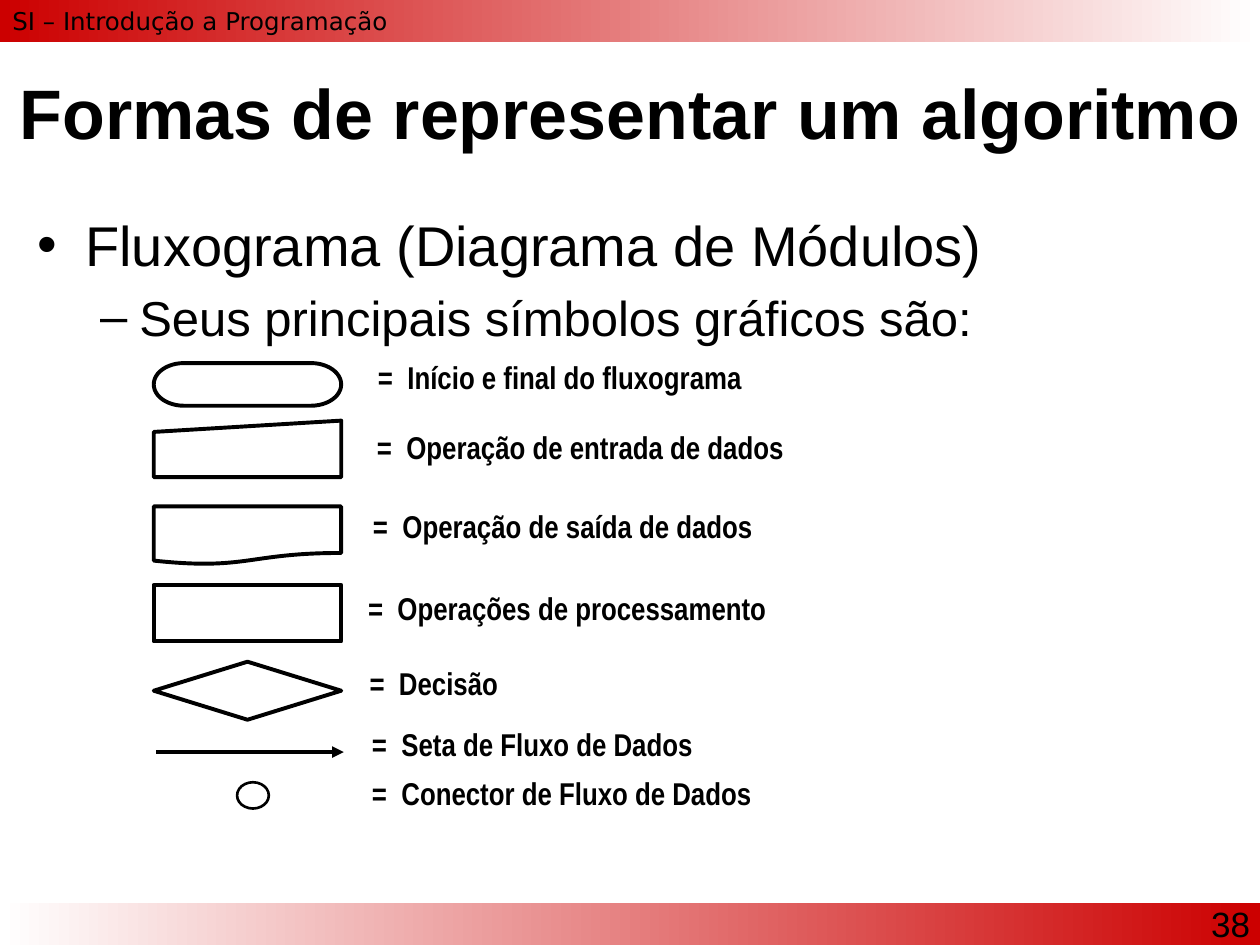
from lxml import etree
from pptx import Presentation
from pptx.dml.color import RGBColor
from pptx.enum.shapes import MSO_CONNECTOR, MSO_SHAPE
from pptx.enum.text import MSO_ANCHOR, PP_ALIGN
from pptx.oxml.ns import qn
from pptx.util import Cm, Pt

BLACK = RGBColor(0x00, 0x00, 0x00)
WHITE = RGBColor(0xFF, 0xFF, 0xFF)
RED = RGBColor(0xCC, 0x00, 0x00)

LEFT, CENTER, RIGHT = PP_ALIGN.LEFT, PP_ALIGN.CENTER, PP_ALIGN.RIGHT
TOP, MIDDLE = MSO_ANCHOR.TOP, MSO_ANCHOR.MIDDLE
RECTANGLE = MSO_SHAPE.RECTANGLE
CIRCLE = MSO_SHAPE.FLOWCHART_CONNECTOR
STRAIGHT = MSO_CONNECTOR.STRAIGHT

SLIDE_W, SLIDE_H = 25.4, 19.05
BAND_H = 0.84
SYMBOL_W = 3.78

# Symbol, its top and height, label, label left and top (cm within the legend)
SYMBOLS = [
    (MSO_SHAPE.FLOWCHART_TERMINATOR, 0.13, 0.86,
     "=  Início e final do fluxograma", 4.49, 0),
    (MSO_SHAPE.FLOWCHART_MANUAL_INPUT, 1.29, 1.14,
     "=  Operação de entrada de dados", 4.47, 1.4),
    (MSO_SHAPE.FLOWCHART_DOCUMENT, 3.02, 1.17,
     "=  Operação de saída de dados", 4.39, 3),
    (MSO_SHAPE.FLOWCHART_PROCESS, 4.6, 1.14,
     "=  Operações de processamento", 4.29, 4.65),
    (MSO_SHAPE.FLOWCHART_DECISION, 6.15, 1.17,
     "=  Decisão", 4.32, 6.17),
]


def format_text(p, size, font="Arial", bold=False):
    for r in p.runs:
        r.font.size = Pt(size)
        r.font.name = font
        r.font.bold = bold
        r.font.color.rgb = BLACK


def add_text(s, box, text, size, font="Arial", bold=False, align=LEFT,
             anchor=TOP, inset=None):
    tf = s.shapes.add_textbox(*map(Cm, box)).text_frame
    tf.word_wrap = True
    tf.vertical_anchor = anchor
    if inset is not None:
        tf.margin_left = tf.margin_right = Cm(inset)
        tf.margin_top = tf.margin_bottom = Cm(inset)
    tf.text = text
    for p in tf.paragraphs:
        p.alignment = align
        format_text(p, size, font, bold)
    return tf


def add_band(s, box, start, end):
    sp = s.shapes.add_shape(RECTANGLE, *map(Cm, box))
    sp.shadow.inherit = False
    sp.line.fill.background()
    sp.fill.gradient()
    sp.fill.gradient_angle = 0
    for stop, position, color in zip(sp.fill.gradient_stops, (0, 1), (start, end)):
        stop.position = position
        stop.color.rgb = color


def add_symbol(s, kind, box, weight=2.25, fill=WHITE):
    sp = s.shapes.add_shape(kind, *map(Cm, box))
    sp.shadow.inherit = False
    if fill is None:
        sp.fill.background()
    else:
        sp.fill.solid()
        sp.fill.fore_color.rgb = fill
    sp.line.color.rgb = BLACK
    sp.line.width = Pt(weight)


def add_arrow(s, x1, y1, x2, y2):
    line = s.shapes.add_connector(STRAIGHT, Cm(x1), Cm(y1), Cm(x2), Cm(y2))
    line.line.color.rgb = BLACK
    line.line.width = Pt(2.25)
    etree.SubElement(line.line._get_or_add_ln(), qn("a:tailEnd"), type="triangle")
    etree.SubElement(line._element.spPr, qn("a:effectLst"))


def set_bullet(p, char, margin, hanging):
    pPr = p._p.get_or_add_pPr()
    pPr.set("marL", str(Cm(margin)))
    pPr.set("indent", str(-Cm(hanging)))
    etree.SubElement(pPr, qn("a:buFont"), typeface="Arial")
    etree.SubElement(pPr, qn("a:buChar"), char=char)


def add_header(s, x, y, w):
    add_band(s, (x, y, w, BAND_H), RED, WHITE)
    add_text(s, (x, y, w, 1.27), "SI – Introdução a Programação", 14, "DejaVu Sans")


def add_footer(s, x, y, w):
    add_band(s, (x, y, w, BAND_H), WHITE, RED)
    add_text(s, (x + w - 3.38, y - 0.15, 3.43, 1.27), "38", 20, align=RIGHT)


def add_outline(s, box):
    tf = add_text(s, box, "Fluxograma (Diagrama de Módulos)\n"
                  "Seus principais símbolos gráficos são:", 32)
    first, second = tf.paragraphs
    format_text(second, 28)
    second.level = 1
    first.space_before, second.space_before = Pt(6.4), Pt(5.6)
    set_bullet(first, "•", 0.97, 0.97)
    set_bullet(second, "–", 2.06, 0.79)


def add_legend(s, x, y):
    def add_label(text, left, top):
        add_text(s, (x + left, y + top, 13, 0.8), text, 18, "Arial Narrow",
                 bold=True, inset=0.03)

    for kind, top, height, text, label_left, label_top in SYMBOLS:
        add_symbol(s, kind, (x, y + top, SYMBOL_W, height))
        add_label(text, label_left, label_top)

    # Flow arrow and flow connector
    add_arrow(s, x + 0.05, y + 7.97, x + 0.05 + SYMBOL_W, y + 7.97)
    add_label("=  Seta de Fluxo de Dados", 4.37, 7.39)
    add_symbol(s, CIRCLE, (x + 1.68, y + 8.58, 0.64, 0.53), weight=1.5, fill=None)
    add_label("=  Conector de Fluxo de Dados", 4.37, 8.38)


def main():
    prs = Presentation()
    prs.slide_width, prs.slide_height = Cm(SLIDE_W), Cm(SLIDE_H)
    s = prs.slides.add_slide(prs.slide_layouts[6])

    # Bands with course name and page number
    add_footer(s, 0, SLIDE_H - BAND_H, SLIDE_W)
    add_header(s, 0, 0, SLIDE_W)

    # Title, outline and symbol legend
    add_text(s, (0, 1.32, SLIDE_W, 1.85), "Formas de representar um algoritmo",
             40, bold=True, align=CENTER, anchor=MIDDLE)
    add_outline(s, (0.5, 4.11, 24.2, 13.87))
    add_legend(s, 3.1, 7.19)

    prs.save("out.pptx")


if __name__ == "__main__":
    main()
